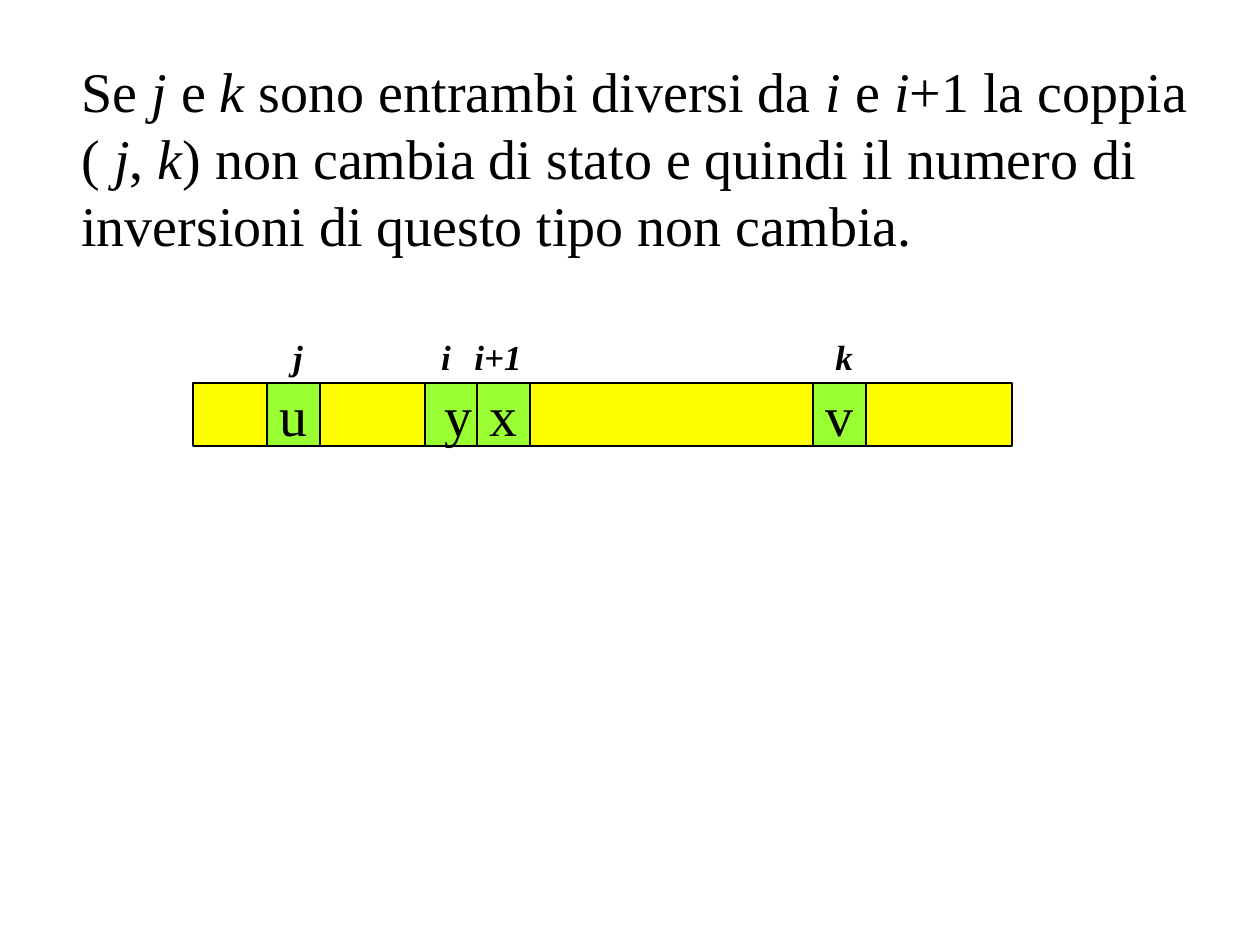
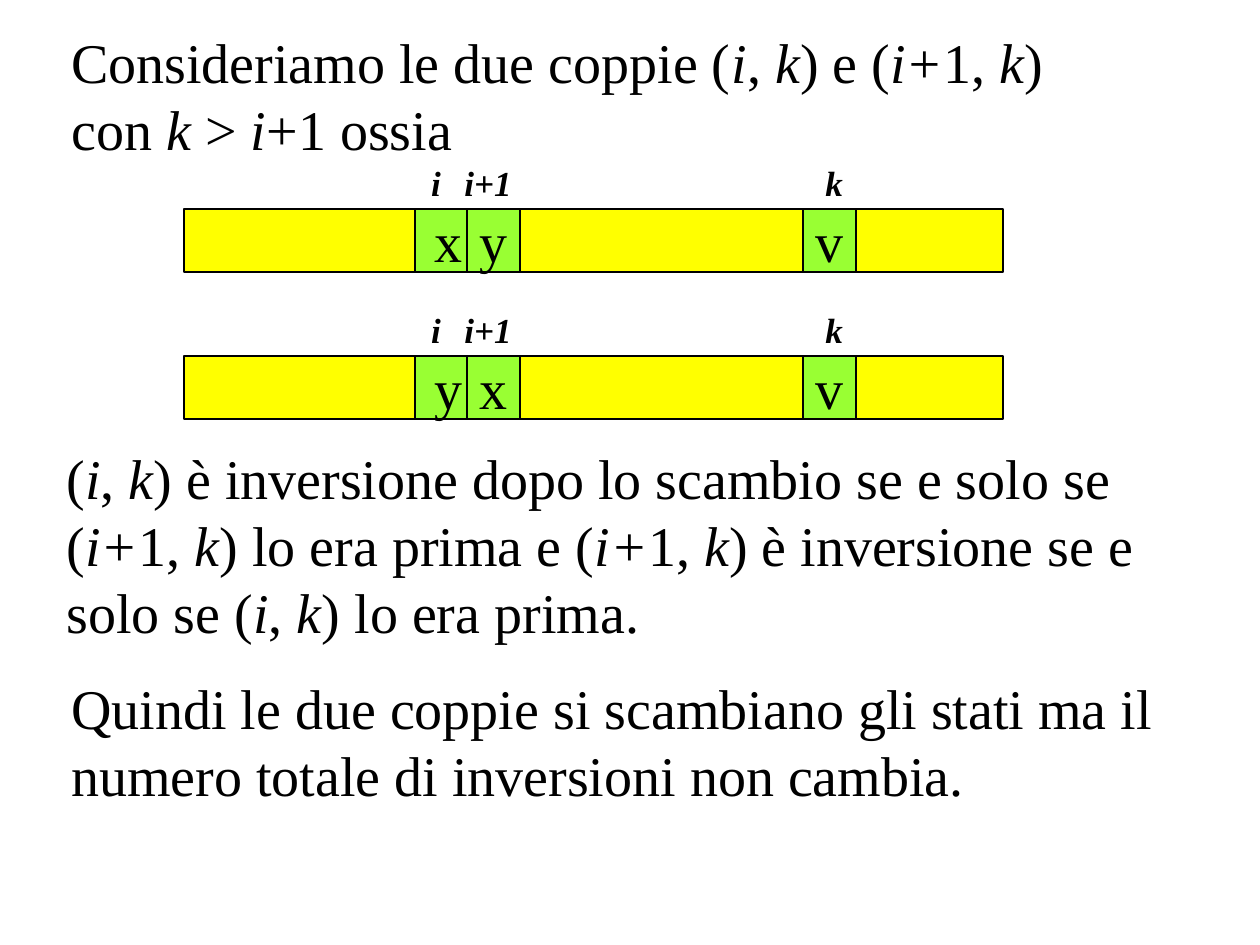
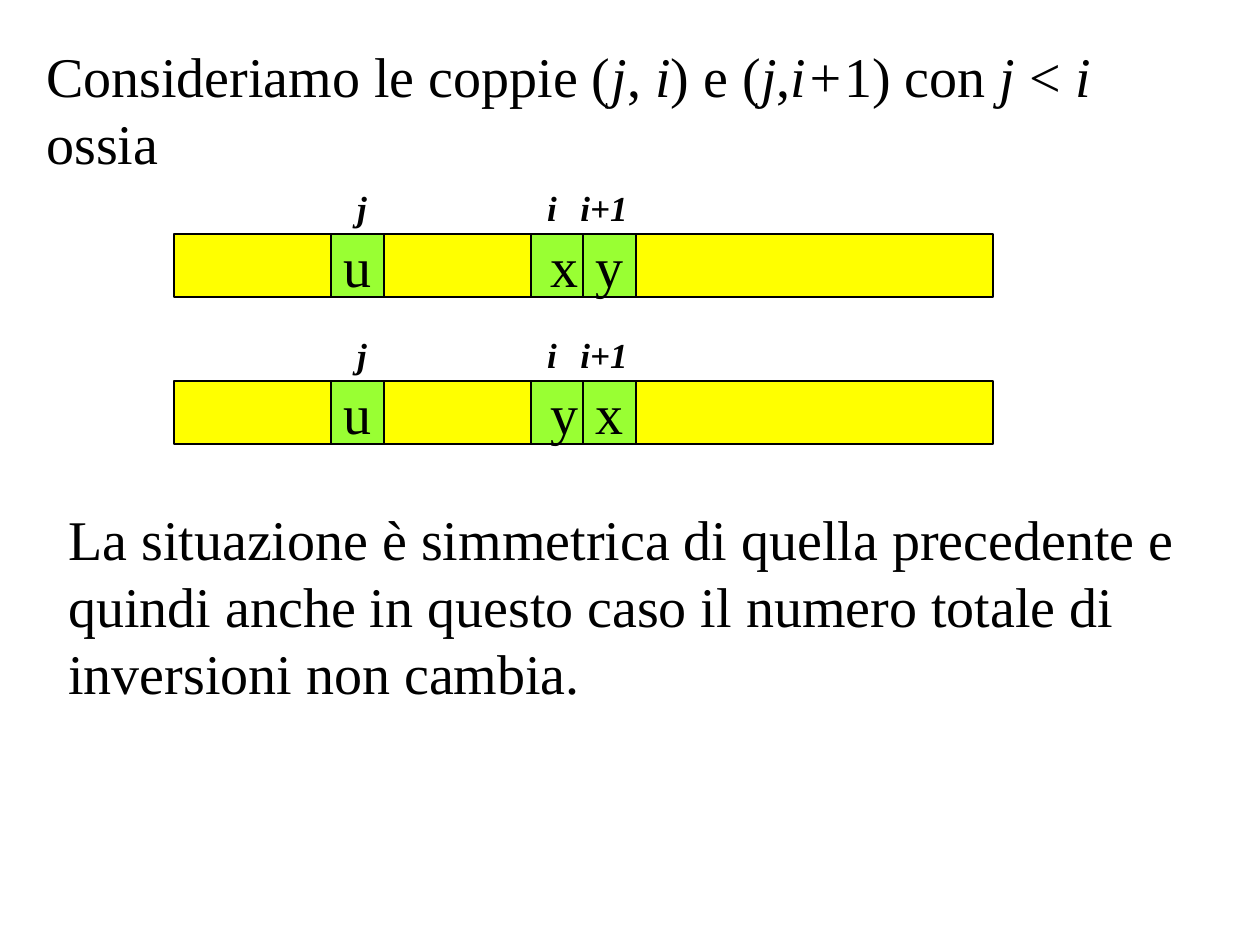
from pptx import Presentation
from pptx import util as u
from pptx.dml.color import RGBColor
from pptx.enum import shapes, text

EMU_PER_PX = 914400 / 126
FONT, BLACK, YELLOW, GREEN = "Times New Roman", "000000", "FFFF00", "99FF33"
BAR_W, BAR_H, CELL_W, CELL_STEP = 819, 63, 53, 52
LABEL_W, LABEL_H, LABEL_SHIFT = 42, 53, 10
ROW_STEP = 147
BODY = {"size": u.Pt(32), "bold": False, "italic": False}
LABEL = {"size": u.Pt(20), "bold": True, "italic": True}
FITTED = {"word_wrap": False, "vertical_anchor": text.MSO_ANCHOR.MIDDLE}
WRAPPED = {"word_wrap": True, "auto_size": text.MSO_AUTO_SIZE.SHAPE_TO_FIT_TEXT}


def px(*lengths):
    """Turn pixel lengths into EMU."""
    return [u.Emu(round(n * EMU_PER_PX)) for n in lengths]


def color(value):
    """Return the colour of a hex string."""
    return RGBColor.from_string(value)


def apply(target, values):
    """Set attributes from a dict."""
    for name, value in values.items():
        setattr(target, name, value)


def add_run(p, words, style):
    """Append one styled run."""
    r = p.add_run()
    r.text = words
    apply(r.font, {"name": FONT, **style})
    r.font.color.rgb = color(BLACK)


def add_centred(sp, words, style):
    """Write one centred, unwrapped line in a shape."""
    tf = sp.text_frame
    apply(tf, FITTED)
    p = tf.paragraphs[0]
    p.alignment = text.PP_ALIGN.CENTER
    add_run(p, words, style)


def add_body(s, x, y, w, h, words):
    """Add a text block in which asterisks enclose italics."""
    tf = s.shapes.add_textbox(*px(x, y, w, h)).text_frame
    apply(tf, WRAPPED)
    p = tf.paragraphs[0]
    for n, part in enumerate(words.split("*")):
        if part:
            add_run(p, part, {**BODY, "italic": n % 2 == 1})


def add_rect(s, x, y, w, h):
    """Add a rectangle without fill, line or shadow."""
    sp = s.shapes.add_shape(shapes.MSO_SHAPE.RECTANGLE, *px(x, y, w, h))
    sp.shadow.inherit = False
    sp.fill.background()
    sp.line.fill.background()
    return sp


def add_box(s, x, y, w, fill):
    """Add a filled, outlined rectangle of the bar's height."""
    sp = add_rect(s, x, y, w, BAR_H)
    sp.fill.solid()
    sp.fill.fore_color.rgb = color(fill)
    sp.line.color.rgb = color(BLACK)
    sp.line.width = u.Pt(0.75)
    return sp


def add_array(s, x, y, cells):
    """Add a bar with cells given as offset, index and value."""
    add_box(s, x, y, BAR_W, YELLOW)
    for offset, index, value in cells:
        left = x + offset
        add_centred(add_box(s, left, y, CELL_W, GREEN), value, BODY)
        shift = 0 if index.startswith("i") else LABEL_SHIFT
        add_centred(add_rect(s, left + shift, y - LABEL_H, LABEL_W, LABEL_H), index, LABEL)


def neighbours(offset, first, second):
    """Return the adjacent cells i and i+1."""
    return [(offset, "i", " " + first), (offset + CELL_STEP, "i+1", second)]


def add_swap(s, x, y, offset, other):
    """Add the arrays before and after the swap of x and y."""
    for n, pair in enumerate(("xy", "yx")):
        add_array(s, x, y + n * ROW_STEP, neighbours(offset, *pair) + [other])


def main():
    """Build the three slides."""
    prs = Presentation()
    prs.slide_width, prs.slide_height = px(1260, 945)
    different, right, left = [prs.slides.add_slide(prs.slide_layouts[6]) for _ in range(3)]

    add_body(different, 69, 50, 1144, 217,
             "Se *j* e *k* sono entrambi diversi da *i* e *i*+1 la coppia ( *j*, *k*) "
             "non cambia di stato e quindi il numero di inversioni di questo tipo non cambia.")
    add_array(different, 193, 383,
              neighbours(232, "y", "x") + [(74, "j", "u"), (620, "k", "v")])

    add_body(right, 59, 21, 1067, 149,
             "Consideriamo le due coppie (*i*, *k*) e (*i+*1, *k*) con *k *> *i*+1 ossia")
    add_swap(right, 184, 209, 231, (619, "k", "v"))
    add_body(right, 54, 437, 1176, 217,
             "(*i*, *k*) è inversione dopo lo scambio se e solo se (*i+*1, *k*) lo era prima "
             "e (*i+*1, *k*) è inversione se e solo se (*i*, *k*) lo era prima.")
    add_body(right, 59, 667, 1131, 149,
             "Quindi le due coppie si scambiano gli stati ma il numero totale "
             "di inversioni non cambia.")

    add_body(left, 34, 35, 1157, 149,
             "Consideriamo le coppie (*j*, *i*) e (*j*,*i+*1) con *j *< *i* ossia")
    add_swap(left, 174, 234, 357, (157, "j", "u"))
    add_body(left, 56, 498, 1160, 217,
             "La situazione è simmetrica di quella precedente e quindi anche in questo caso "
             "il numero totale di inversioni non cambia.")
    prs.save("out.pptx")


if __name__ == "__main__":
    main()
